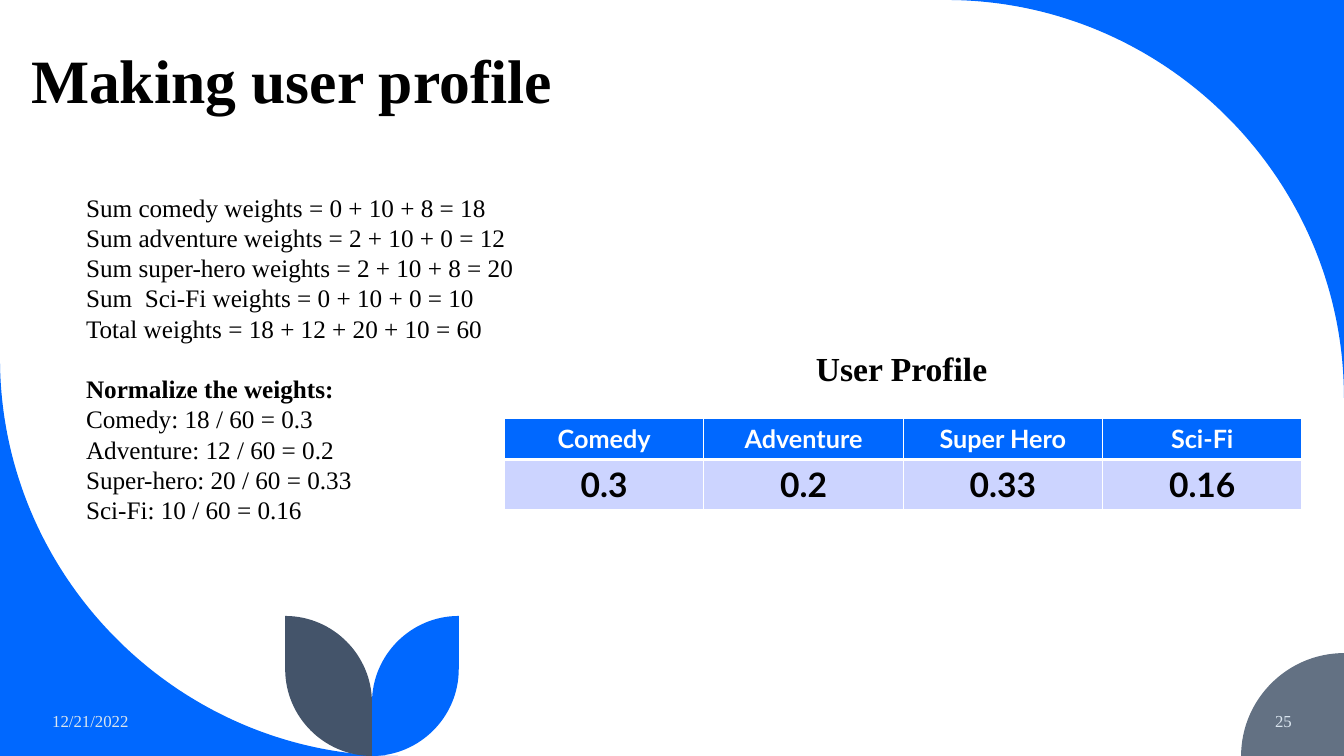
from lxml import etree
from pptx import Presentation
from pptx.dml.color import RGBColor
from pptx.enum.text import MSO_ANCHOR, PP_ALIGN
from pptx.oxml.ns import qn
from pptx.util import Pt

LEFT, CENTER, RIGHT = PP_ALIGN.LEFT, PP_ALIGN.CENTER, PP_ALIGN.RIGHT
TOP, MIDDLE, BOTTOM = MSO_ANCHOR.TOP, MSO_ANCHOR.MIDDLE, MSO_ANCHOR.BOTTOM
SERIF, SANS = "Times New Roman", "Lato"
BLUE, SLATE, GRAY, LAVENDER = "0068FF", "44546A", "637183", "CCD4FF"
BLACK, WHITE, PALE = "000000", "FFFFFF", "DAE5EF"
W, H = 960, 540
ROUND = 0.55  # share of the way to the corner that makes a curve circular

SUMS = [
    "Sum comedy weights = 0 + 10 + 8 = 18",
    "Sum adventure weights = 2 + 10 + 0 = 12",
    "Sum super-hero weights = 2 + 10 + 8 = 20",
    "Sum  Sci-Fi weights = 0 + 10 + 0 = 10",
    "Total weights = 18 + 12 + 20 + 10 = 60",
]
NORMALIZE = "Normalize the weights:"
SHARES = [
    "Comedy: 18 / 60 = 0.3",
    "Adventure: 12 / 60 = 0.2",
    "Super-hero: 20 / 60 = 0.33",
    "Sci-Fi: 10 / 60 = 0.16",
]
# left, top, width, height, alignment, anchor, text, size, colour, bold
LABELS = [
    (15.1, 23.8, 769.7, 63.4, LEFT, BOTTOM, "Making user profile", 44, BLACK, True),
    (30.2, 500.4, 139, 28.8, LEFT, MIDDLE, "12/21/2022", 12, PALE, False),
    (799.5, 500.4, 130.3, 28.8, RIGHT, MIDDLE, "25", 12, PALE, False),
    (558, 245.2, 172, 36, CENTER, TOP, "User Profile", 24, BLACK, True),
]
PROFILE = [("Comedy", "Adventure", "Super Hero", "Sci-Fi"), ("0.3", "0.2", "0.33", "0.16")]
# height, fill, font size, font colour, top border, bottom border
ROWS = [(29.5, BLUE, 18, WHITE, 1, 3), (36, LAVENDER, 24, BLACK, 3, 1)]


def rgb(value):
    return RGBColor.from_string(value)


def set_font(r, name, size, color, bold):
    for key, value in {"name": name, "size": Pt(size), "bold": bold}.items():
        setattr(r.font, key, value)
    r.font.color.rgb = rgb(color)


def toward(start, corner):
    return tuple(a + ROUND * (b - a) for a, b in zip(start, corner))


def add_outline(color, start, *steps):
    """Each step is (end,) for a straight side or (corner, end) for a quarter circle."""
    segments, here = [], start
    for *corner, end in steps:
        segments.append([f(c) for c in corner for f in
                         (lambda c: toward(here, c), lambda c: toward(end, c))] + [end])
        here = end
    builder = slide.shapes.build_freeform(Pt(start[0]), Pt(start[1]), scale=1.0)
    builder.add_line_segments([(Pt(x), Pt(y)) for seg in segments for x, y in seg], close=True)
    s = builder.convert_to_shape()
    s.shadow.inherit = False
    s.fill.solid()
    s.fill.fore_color.rgb = rgb(color)
    s.line.fill.background()
    lines = iter(list(s._element.iter(qn("a:lnTo"))))
    for seg in segments:
        group = [next(lines) for _ in seg]
        if len(group) == 3:
            curve = etree.Element(qn("a:cubicBezTo"))
            group[0].addprevious(curve)
            for line in group:
                curve.append(line[0])
                line.getparent().remove(line)


def add_box(x, y, w, h, anchor):
    tf = slide.shapes.add_textbox(Pt(x), Pt(y), Pt(w), Pt(h)).text_frame
    tf.word_wrap = True
    tf.vertical_anchor = anchor
    return tf


def add_borders(cell, top, bottom):
    tc_pr = cell._tc.get_or_add_tcPr()
    for i, (side, width) in enumerate({"L": 1, "R": 1, "T": top, "B": bottom}.items()):
        ln = etree.Element(qn(f"a:ln{side}"), w=str(Pt(width)))
        fill = etree.SubElement(ln, qn("a:solidFill"))
        etree.SubElement(fill, qn("a:srgbClr"), val=WHITE)
        tc_pr.insert(i, ln)


prs = Presentation()
prs.slide_width, prs.slide_height = Pt(W), Pt(H)
slide = prs.slides.add_slide(prs.slide_layouts[6])

swoop, dome = 284.2, 73.5
add_outline(BLUE, (W - swoop, 0), ((W, 0), (W, swoop)), ((W, 0),))
add_outline(BLUE, (0, H - swoop), ((0, H), (swoop, H)), ((0, H),))
add_outline(GRAY, (W - dome, H), ((W - dome, H - dome), (W, H - dome)), ((W, H),))

stem, leaf_top, leaf_w = 265.7, 440, 62
for tip, color in ((stem + leaf_w, BLUE), (stem - leaf_w, SLATE)):
    add_outline(color, (tip, leaf_top), ((tip, H - leaf_w),), ((tip, H), (stem, H)),
                ((stem, leaf_top + leaf_w),), ((stem, leaf_top), (tip, leaf_top)))

for x, y, w, h, align, anchor, text, size, color, bold in LABELS:
    p = add_box(x, y, w, h, anchor).paragraphs[0]
    p.alignment = align
    p.line_spacing = 0.9 if size == 44 else 1.0
    r = p.add_run()
    r.text = text
    set_font(r, SERIF, size, color, bold)

tf = add_box(54.4, 133.6, 489.6, 247, TOP)
for i, text in enumerate(SUMS + [NORMALIZE] + SHARES):
    p = tf.paragraphs[0] if i == 0 else tf.add_paragraph()
    p.line_spacing = Pt(21.6)
    if text == NORMALIZE:
        p.space_before = Pt(21.6)
    r = p.add_run()
    r.text = text
    set_font(r, SERIF, 18, BLACK, text == NORMALIZE)

table_w = 569.6
table = slide.shapes.add_table(2, 4, Pt(360.4), Pt(298.8), Pt(table_w), Pt(65.5)).table
for col in table.columns:
    col.width = Pt(table_w / 4)
for row, texts, (height, fill, size, color, top, bottom) in zip(table.rows, PROFILE, ROWS):
    row.height = Pt(height)
    for cell, text in zip(row.cells, texts):
        add_borders(cell, top, bottom)
        cell.fill.solid()
        cell.fill.fore_color.rgb = rgb(fill)
        p = cell.text_frame.paragraphs[0]
        p.alignment = CENTER
        r = p.add_run()
        r.text = text
        set_font(r, SANS, size, color, True)

prs.save("out.pptx")
